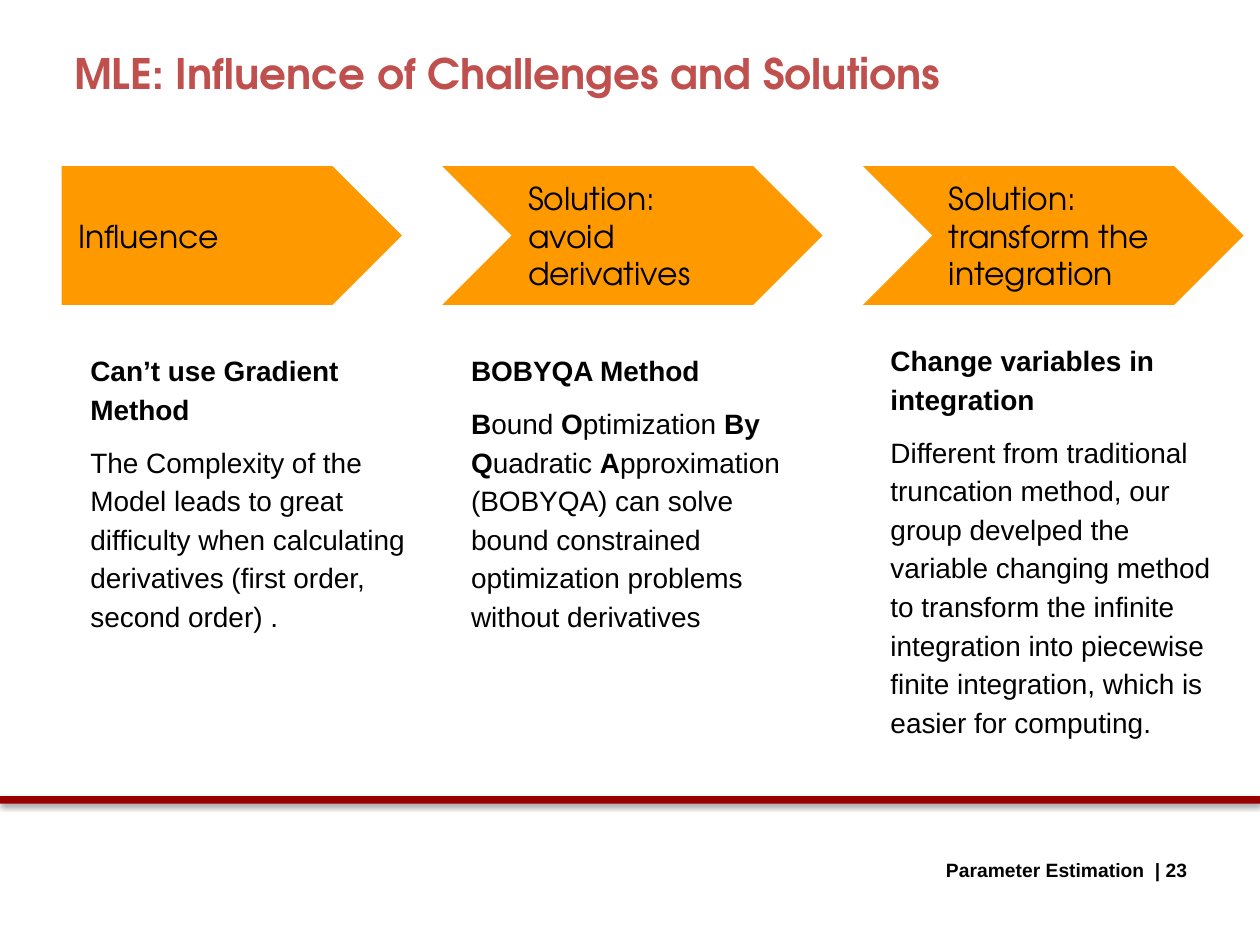
from dataclasses import dataclass

from lxml import etree
from pptx import Presentation
from pptx.dml.color import RGBColor
from pptx.enum import shapes, text
from pptx.oxml import ns
from pptx.util import Pt


@dataclass(frozen=True)
class Theme:
    title_color: RGBColor = RGBColor(0xC0, 0x50, 0x4D)
    ink: RGBColor = RGBColor(0, 0, 0)
    paper: RGBColor = RGBColor(0xFF, 0xFF, 0xFF)
    arrow: RGBColor = RGBColor(0xFF, 0x99, 0)
    rule: RGBColor = RGBColor(0x99, 0, 0)
    display_font: str = "TeX Gyre Adventor"
    body_font: str = "Arial"
    title_size: int = 24
    arrow_size: int = 18
    body_size: int = 16
    footer_size: int = 11


@dataclass(frozen=True)
class Area:
    left: float
    top: float
    width: float
    height: float

    def lengths(self) -> tuple:
        return Pt(self.left), Pt(self.top), Pt(self.width), Pt(self.height)


@dataclass(frozen=True)
class Span:
    words: str
    bold: bool = False


@dataclass(frozen=True)
class Column:
    label: str
    arrow_kind: shapes.MSO_SHAPE
    arrow_area: Area
    heading: str
    body: tuple[Span, ...]
    body_area: Area


THEME = Theme()
ARROW_TOP, ARROW_HEIGHT = 95, 79.2
CHEVRON_WIDTH = 217.4

COLUMNS = (
    Column(
        "Influence", shapes.MSO_SHAPE.PENTAGON,
        Area(35.3, ARROW_TOP, 194.4, ARROW_HEIGHT),
        "Can’t use Gradient Method",
        (Span("The Complexity of the Model leads to great difficulty when "
              "calculating derivatives (first order, second order) ."),),
        Area(44.6, 192.2, 194.4, 208.8),
    ),
    Column(
        "Solution: avoid derivatives", shapes.MSO_SHAPE.CHEVRON,
        Area(252.7, ARROW_TOP, CHEVRON_WIDTH, ARROW_HEIGHT),
        "BOBYQA Method",
        (Span("B", True), Span("ound "), Span("O", True), Span("ptimization"),
         Span(" By Q", True), Span("uadratic "), Span("A", True),
         Span("pproximation (BOBYQA) can solve  bound constrained "
              "optimization problems without derivatives")),
        Area(262.1, 192.2, 208.1, 208.8),
    ),
    Column(
        "Solution: transform the integration", shapes.MSO_SHAPE.CHEVRON,
        Area(493.2, ARROW_TOP, CHEVRON_WIDTH, ARROW_HEIGHT),
        "Change variables in integration",
        (Span("Different from traditional truncation method, our group "
              "develped the variable changing method to transform the "
              "infinite integration into piecewise finite integration, "
              "which is easier for computing."),),
        Area(501.8, 186.5, 199.4, 238.3),
    ),
)


def style_run(run, font: str, size: float, color: RGBColor, bold: bool = False) -> None:
    run.font.name = font
    run.font.size = Pt(size)
    run.font.bold = bold
    run.font.color.rgb = color


def set_margins(frame, margin: float) -> None:
    frame.margin_left = frame.margin_right = Pt(margin)
    frame.margin_top = frame.margin_bottom = Pt(margin)


def add_block(page, kind: shapes.MSO_SHAPE, area: Area, fill: RGBColor):
    """Add a filled preset shape without line or shadow."""
    block = page.shapes.add_shape(kind, *area.lengths())
    block.shadow.inherit = False
    block.fill.solid()
    block.fill.fore_color.rgb = fill
    block.line.fill.background()
    return block


def add_line_of_text(page, area: Area, words: str, font: str, size: float,
                     color: RGBColor) -> None:
    box = page.shapes.add_textbox(*area.lengths())
    frame = box.text_frame
    frame.word_wrap = True
    frame.auto_size = text.MSO_AUTO_SIZE.SHAPE_TO_FIT_TEXT
    frame.text = words
    style_run(frame.paragraphs[0].runs[0], font, size, color, bold=True)


def add_rule(page) -> None:
    """Add the red band with a soft shadow below it."""
    rule = add_block(page, shapes.MSO_SHAPE.RECTANGLE, Area(0, 455, 720, 4.3), THEME.rule)
    effects = rule._element.spPr.find(ns.qn("a:effectLst"))
    shadow = etree.SubElement(effects, ns.qn("a:outerShdw"), blurRad=str(Pt(3.1)),
                              dist=str(Pt(1.6)), dir="5400000", rotWithShape="0")
    color = etree.SubElement(shadow, ns.qn("a:srgbClr"), val=str(THEME.ink))
    etree.SubElement(color, ns.qn("a:alpha"), val="38000")


def add_arrow(page, column: Column) -> None:
    arrow = add_block(page, column.arrow_kind, column.arrow_area, THEME.arrow)
    arrow.adjustments[0] = 0.5
    frame = arrow.text_frame
    frame.word_wrap = True
    frame.vertical_anchor = text.MSO_ANCHOR.MIDDLE
    set_margins(frame, 9.4)
    frame.text = column.label
    para = frame.paragraphs[0]
    para.alignment = text.PP_ALIGN.LEFT
    style_run(para.runs[0], THEME.display_font, THEME.arrow_size, THEME.ink)


def add_details(page, column: Column) -> None:
    box = page.shapes.add_textbox(*column.body_area.lengths())
    frame = box.text_frame
    frame.word_wrap = True
    set_margins(frame, 7.2)
    for index, spans in enumerate(((Span(column.heading, True),), column.body)):
        para = frame.add_paragraph() if index else frame.paragraphs[0]
        para.line_spacing = 1.15
        para.space_after = Pt(8)
        for span in spans:
            run = para.add_run()
            run.text = span.words
            style_run(run, THEME.body_font, THEME.body_size, THEME.ink, span.bold)


def add_footer(page) -> None:
    panel = add_block(page, shapes.MSO_SHAPE.RECTANGLE,
                      Area(533.5, 501.1, 163.4, 25.9), THEME.paper)
    panel.line.color.rgb = THEME.paper
    panel.line.width = Pt(0.75)
    add_line_of_text(page, Area(533.5, 486.7, 220.3, 20.9), "Parameter Estimation  | 23",
                     THEME.body_font, THEME.footer_size, THEME.ink)


def main() -> None:
    deck = Presentation()
    deck.slide_width, deck.slide_height = Pt(720), Pt(540)
    page = deck.slides.add_slide(deck.slide_layouts[6])
    add_rule(page)
    for column in COLUMNS:
        add_arrow(page, column)
    add_line_of_text(page, Area(35.3, 23.8, 565.9, 36),
                     "MLE: Influence of Challenges and Solutions",
                     THEME.display_font, THEME.title_size, THEME.title_color)
    for column in COLUMNS:
        add_details(page, column)
    add_footer(page)
    deck.save("out.pptx")


if __name__ == "__main__":
    main()
